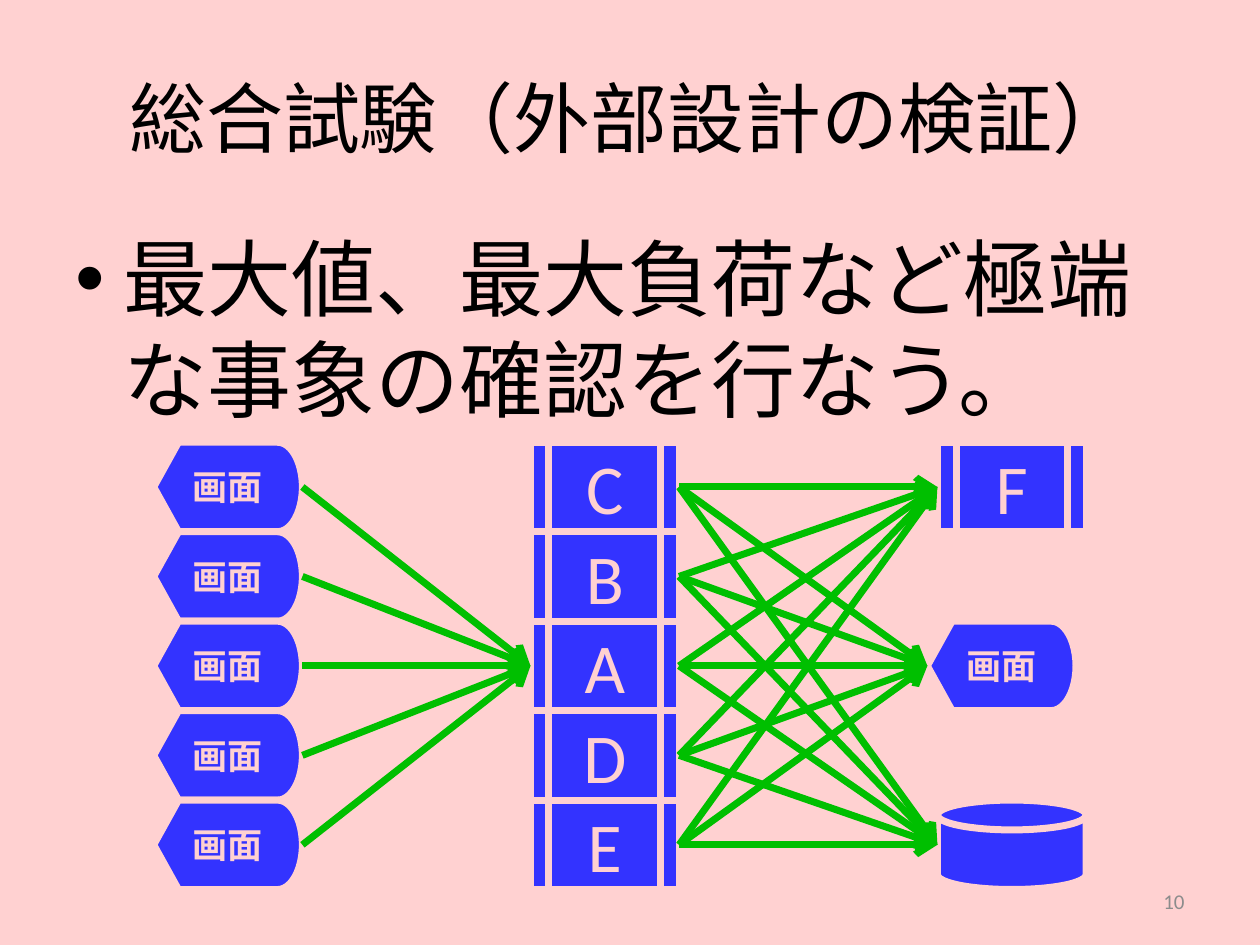
from itertools import product
from lxml.etree import SubElement
from pptx import Presentation
from pptx.dml.color import RGBColor
from pptx.enum.shapes import MSO_CONNECTOR, MSO_SHAPE
from pptx.enum.text import MSO_ANCHOR, PP_ALIGN
from pptx.oxml.ns import qn
from pptx.util import Inches, Pt

PINK, BLUE, GREEN = "FFD1D1", "3333FF", "00BF00"
NODE_WIDTH, NODE_HEIGHT = 1.18, 0.71
ROW_COUNT = 5


def paint(color_format, color):
    color_format.rgb = RGBColor.from_string(color)


def write(shape, text, size, color="000000", bold=False,
          align=PP_ALIGN.CENTER, anchor=MSO_ANCHOR.MIDDLE):
    frame = shape.text_frame
    frame.word_wrap = True
    frame.vertical_anchor = anchor
    paragraph = frame.paragraphs[0]
    paragraph.alignment = align
    run = paragraph.add_run()
    run.text = text
    run.font.name = "Calibri"
    run.font.size = Pt(size)
    run.font.bold = bold
    paint(run.font.color, color)
    return paragraph


def add_text(slide, box, text, size, **formatting):
    shape = slide.shapes.add_textbox(*map(Inches, box))
    return write(shape, text, size, **formatting)


def add_bullet(slide, box, text, size):
    paragraph = add_text(slide, box, text, size,
                         align=PP_ALIGN.LEFT, anchor=MSO_ANCHOR.TOP)
    paragraph.space_before = Pt(size * 0.2)
    properties = paragraph._p.get_or_add_pPr()
    properties.set("marL", str(Inches(0.38)))
    properties.set("indent", str(Inches(-0.38)))
    SubElement(properties, qn("a:buFont"), typeface="Arial")
    SubElement(properties, qn("a:buChar"), char="•")


def add_node(slide, kind, left, top, text="", size=40, bold=False):
    shape = slide.shapes.add_shape(
        kind, *map(Inches, (left, top, NODE_WIDTH, NODE_HEIGHT)))
    shape.shadow.inherit = False
    shape.fill.solid()
    paint(shape.fill.fore_color, BLUE)
    paint(shape.line.color, PINK)
    shape.line.width = Pt(4)
    if text:
        write(shape, text, size, color=PINK, bold=bold)
    middle = top + NODE_HEIGHT / 2
    return (left, middle), (left + NODE_WIDTH, middle)


def add_screen(slide, left, top):
    return add_node(slide, MSO_SHAPE.FLOWCHART_DISPLAY, left, top,
                    "画面", size=20, bold=True)


def add_process(slide, left, top, letter):
    return add_node(slide, MSO_SHAPE.FLOWCHART_PREDEFINED_PROCESS,
                    left, top, letter)


def add_arrow(slide, start, end):
    arrow = slide.shapes.add_connector(
        MSO_CONNECTOR.STRAIGHT, *map(Inches, start + end))
    paint(arrow.line.color, GREEN)
    arrow.line.width = Pt(4)
    SubElement(arrow.line._get_or_add_ln(), qn("a:tailEnd"), type="arrow")
    SubElement(arrow._element.spPr, qn("a:effectLst"))


def add_flow(slide, left, top):
    rows = [top + row * NODE_HEIGHT for row in range(ROW_COUNT)]
    screens = [add_screen(slide, left, row) for row in rows]
    processes = [add_process(slide, left + 2.99, row, letter)
                 for row, letter in zip(rows, "CBADE")]
    results = [
        add_process(slide, left + 6.22, rows[0], "F"),
        add_screen(slide, left + 6.14, rows[2]),
        add_node(slide, MSO_SHAPE.FLOWCHART_MAGNETIC_DISK,
                 left + 6.22, rows[4]),
    ]
    links = [*product(screens, processes[2:3]), *product(processes, results)]
    for (_, start), (end, _) in links:
        add_arrow(slide, start, end)


def build_slide(presentation):
    slide = presentation.slides.add_slide(presentation.slide_layouts[6])
    slide.background.fill.solid()
    paint(slide.background.fill.fore_color, PINK)
    add_text(slide, (0.5, 0.3, 9, 1.25), "総合試験（外部設計の検証）", 44)
    add_bullet(slide, (0.5, 1.75, 9, 5.08),
               "最大値、最大負荷など極端な事象の確認を行なう。", 48)
    add_text(slide, (7.17, 6.95, 2.33, 0.4), "10", 12,
             color="8C8C8C", align=PP_ALIGN.RIGHT)
    add_flow(slide, 1.22, 3.51)


presentation = Presentation()
presentation.slide_width = Inches(10)
presentation.slide_height = Inches(7.5)
build_slide(presentation)
presentation.save("out.pptx")
